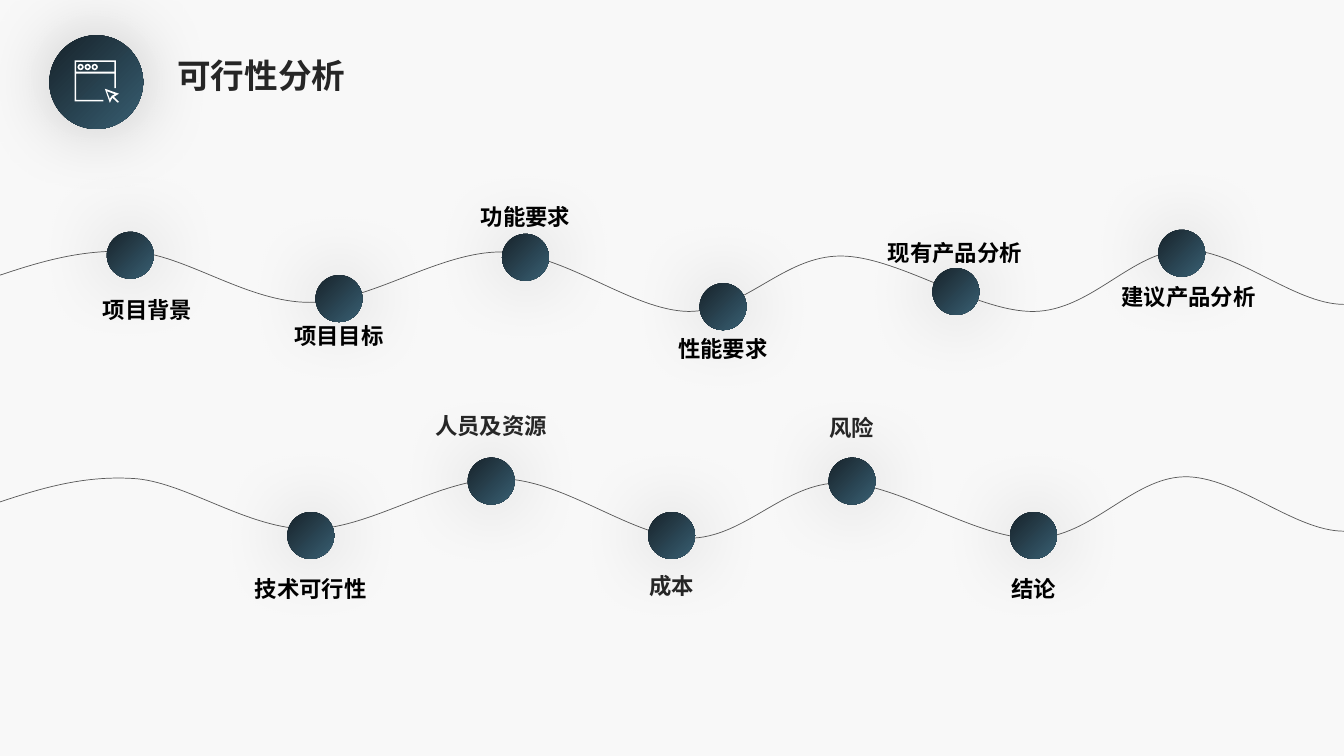
from dataclasses import dataclass
from typing import Any

import pptx
import pptx.dml.color
import pptx.enum.shapes
import pptx.enum.text
import pptx.oxml
import pptx.oxml.ns
import pptx.util

# The grid: cells of a tenth of an inch
CELL = 91440
COLS, ROWS = 133.33, 75
FONT = "Noto Sans CJK SC"
BLACK, DARK, GREY, WHITE = "000000", "262626", "595959", "FFFFFF"
NAVY, TEAL, PALE = "17232B", "395F72", "F8F8F8"
DOT, LABEL = 4.65, 22.4

Point = tuple[float, float]


@dataclass(frozen=True)
class Stop:
    """A dot on a wave and its label, in grid cells."""
    text: str
    left: float
    top: float
    row: float
    shift: float = 0
    tall: bool = True


@dataclass(frozen=True)
class Part:
    """One run of an outline; curved ones hold two handles and an end."""
    points: list[Point]
    curved: bool = False
    close: bool = True


STOPS = [
    Stop("项目背景", 10.6, 23, 28.4, shift=1.7),
    Stop("项目目标", 31.3, 27.3, 30.9),
    Stop("功能要求", 49.8, 23.2, 19.1),
    Stop("性能要求", 69.4, 28.1, 32.2),
    Stop("现有产品分析", 92.5, 26.6, 22.7, shift=-0.1),
    Stop("建议产品分析", 114.9, 22.8, 27.1, shift=0.7),
    Stop("技术可行性", 28.5, 50.8, 56),
    Stop("人员及资源", 46.4, 45.4, 40.4, tall=False),
    Stop("成本", 64.3, 50.8, 56.3, tall=False),
    Stop("风险", 82.2, 45.4, 40.6, tall=False),
    Stop("结论", 100.2, 50.8, 56),
]

WAVE: list[Point] = [
    (0, 27.3), (4.2, 25.9), (8.5, 24.6), (13.6, 25),
    (18.7, 25.5), (24.7, 30), (30.7, 30),
    (36.8, 30), (43.6, 24.9), (49.9, 25),
    (56.2, 25.2), (62.7, 30.8), (68.3, 30.9),
    (73.9, 30.9), (77.7, 25.4), (83.4, 25.4),
    (89.1, 25.4), (96.9, 31), (102.6, 30.9),
    (108.3, 30.8), (112.3, 24.9), (117.5, 24.8),
    (122.6, 24.7), (128.4, 30.2), (COLS, 30.2),
]
WAVE_DROPS = [0, 22.5]


def ring(x: float, y: float, r: float) -> Part:
    """Build a circle from four bends."""
    h = 0.55 * r
    turns = [(r, 0), (r, h), (h, r), (0, r), (-h, r), (-r, h), (-r, 0),
             (-r, -h), (-h, -r), (0, -r), (h, -r), (r, -h), (r, 0)]
    return Part([(x + a, y + b) for a, b in turns], curved=True)


# Browser window, its bar, the pointer and three buttons
ICON = [
    Part([(7.4, 6), (11.5, 6), (11.5, 8.75), (11.35, 8.75), (11.35, 7.3),
          (7.55, 7.3), (7.55, 9.9), (10.25, 9.9), (10.25, 10.05),
          (7.4, 10.05)]),
    Part([(7.55, 6.15), (11.35, 6.15), (11.35, 7.1), (7.55, 7.1)]),
    Part([(10.4, 8.8), (11.8, 9.3), (11.3, 9.6), (11.8, 10.1),
          (11.7, 10.2), (11.15, 9.7), (10.9, 10.2)]),
    Part([(10.6, 9.05), (10.9, 9.8), (11.1, 9.5), (11.4, 9.35)]),
] + [ring(8 + 0.7 * i, 6.65, r) for i in range(3) for r in (0.32, 0.18)]


def size(cells: float) -> int:
    return round(cells * CELL)


def tint(code: str) -> pptx.dml.color.RGBColor:
    return pptx.dml.color.RGBColor.from_string(code)


def add_glow(shape: Any) -> None:
    """Put a wide soft shadow round a shape."""
    shape.shadow.inherit = False
    effects = shape.element.spPr.find(pptx.oxml.ns.qn("a:effectLst"))
    effects.append(pptx.oxml.parse_xml(
        f'<a:outerShdw {pptx.oxml.ns.nsdecls("a")} blurRad="{53 * 12700}" '
        'dist="0" dir="0" algn="ctr" rotWithShape="0">'
        f'<a:srgbClr val="{BLACK}"><a:alpha val="20000"/></a:srgbClr>'
        '</a:outerShdw>'))


def add_dot(shapes: Any, left: float, top: float, width: float = DOT) -> None:
    dot = shapes.add_shape(
        pptx.enum.shapes.MSO_SHAPE.OVAL,
        size(left), size(top), size(width), size(width))
    dot.fill.gradient()
    dot.fill.gradient_angle = 315
    for stop, code in zip(dot.fill.gradient_stops, (NAVY, TEAL)):
        stop.color.rgb = tint(code)
    dot.line.fill.background()
    add_glow(dot)


def add_path(shapes: Any, parts: list[Part]) -> Any:
    """Draw an outline, then turn the lines of curved parts into bends."""
    pen = None
    bends: list[list[Point]] = []
    for part in parts:
        step = 3 if part.curved else 1
        spots = [(size(x), size(y)) for x, y in part.points]
        if pen is None:
            pen = shapes.build_freeform(*spots[0])
        else:
            pen.move_to(*spots[0])
        pen.add_line_segments(spots[step::step], close=part.close)
        bends += [spots[i:i + step]
                  for i in range(1, len(spots), step)]
    shape = pen.convert_to_shape()
    lines = list(shape.element.iter(pptx.oxml.ns.qn("a:lnTo")))
    for line, spots in zip(lines, bends):
        if len(spots) == 3:
            marks = "".join(
                f'<a:pt x="{x - shape.left}" y="{y - shape.top}"/>'
                for x, y in spots)
            line.getparent().replace(line, pptx.oxml.parse_xml(
                f'<a:cubicBezTo {pptx.oxml.ns.nsdecls("a")}>'
                f'{marks}</a:cubicBezTo>'))
    shape.shadow.inherit = False
    return shape


def add_wave(shapes: Any, drop: float) -> None:
    knots = [(x, y + drop) for x, y in WAVE]
    wave = add_path(shapes, [Part(knots, curved=True, close=False)])
    wave.fill.background()
    wave.line.color.rgb = tint(GREY)
    wave.line.width = pptx.util.Pt(0.5)


def style(frame: Any, points: float, code: str) -> None:
    frame.word_wrap = True
    frame.auto_size = pptx.enum.text.MSO_AUTO_SIZE.SHAPE_TO_FIT_TEXT
    frame.vertical_anchor = pptx.enum.text.MSO_ANCHOR.TOP
    for run in frame.paragraphs[0].runs:
        run.font.size = pptx.util.Pt(points)
        run.font.bold = True
        run.font.color.rgb = tint(code)
        run.font.name = FONT
        run.font._element.find(pptx.oxml.ns.qn("a:latin")).addnext(
            pptx.oxml.parse_xml(
                f'<a:ea {pptx.oxml.ns.nsdecls("a")} typeface="{FONT}"/>'))


def add_label(shapes: Any, stop: Stop) -> None:
    left = stop.left + (DOT - LABEL) / 2 + stop.shift
    box = shapes.add_textbox(
        size(left), size(stop.row), size(LABEL),
        size(4 if stop.tall else 3.7))
    box.text_frame.text = stop.text
    line = box.text_frame.paragraphs[0]
    line.alignment = pptx.enum.text.PP_ALIGN.CENTER
    if stop.tall:
        line.line_spacing = 1.2
    style(box.text_frame, 16, BLACK if stop.tall else DARK)


def add_badge(shapes: Any) -> None:
    group = shapes.add_group_shape()
    add_dot(group.shapes, 4.9, 3.5, 9.3)
    icon = add_path(group.shapes, ICON)
    icon.fill.solid()
    icon.fill.fore_color.rgb = tint(WHITE)
    icon.line.fill.background()
    add_glow(icon)


def set_title(title: Any, text: str) -> None:
    title.left, title.top = size(16.6), size(4.95)
    title.width, title.height = size(36), size(5)
    title.text_frame.text = text
    title.text_frame.paragraphs[0].alignment = pptx.enum.text.PP_ALIGN.LEFT
    style(title.text_frame, 24, DARK)


def main() -> None:
    deck = pptx.Presentation()
    deck.slide_width, deck.slide_height = size(COLS), size(ROWS)
    slide = deck.slides.add_slide(deck.slide_layouts[5])
    slide.background.fill.solid()
    slide.background.fill.fore_color.rgb = tint(PALE)

    # Heading
    add_badge(slide.shapes)
    set_title(slide.shapes.title, "可行性分析")

    # Waves, then dots, then labels
    for drop in WAVE_DROPS:
        add_wave(slide.shapes, drop)
    for stop in STOPS:
        add_dot(slide.shapes, stop.left, stop.top)
    for stop in STOPS:
        add_label(slide.shapes, stop)

    deck.save("out.pptx")


if __name__ == "__main__":
    main()
